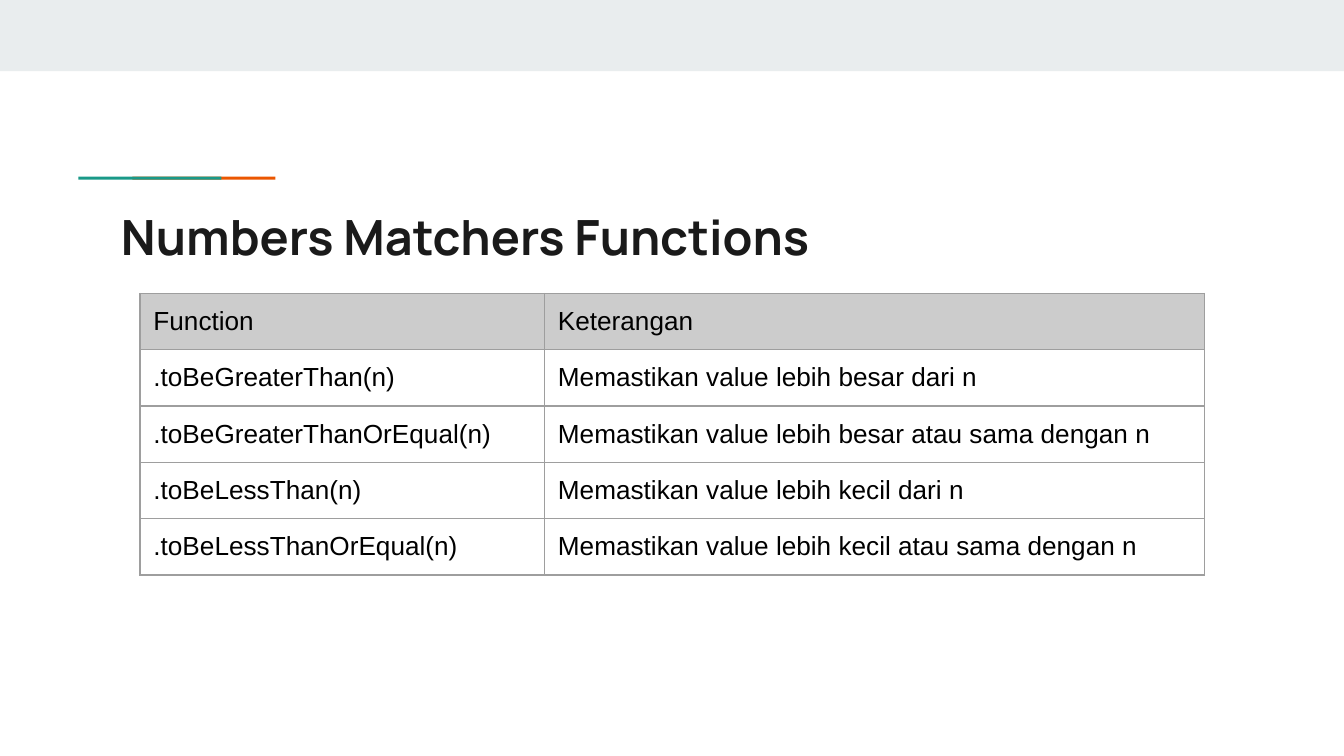
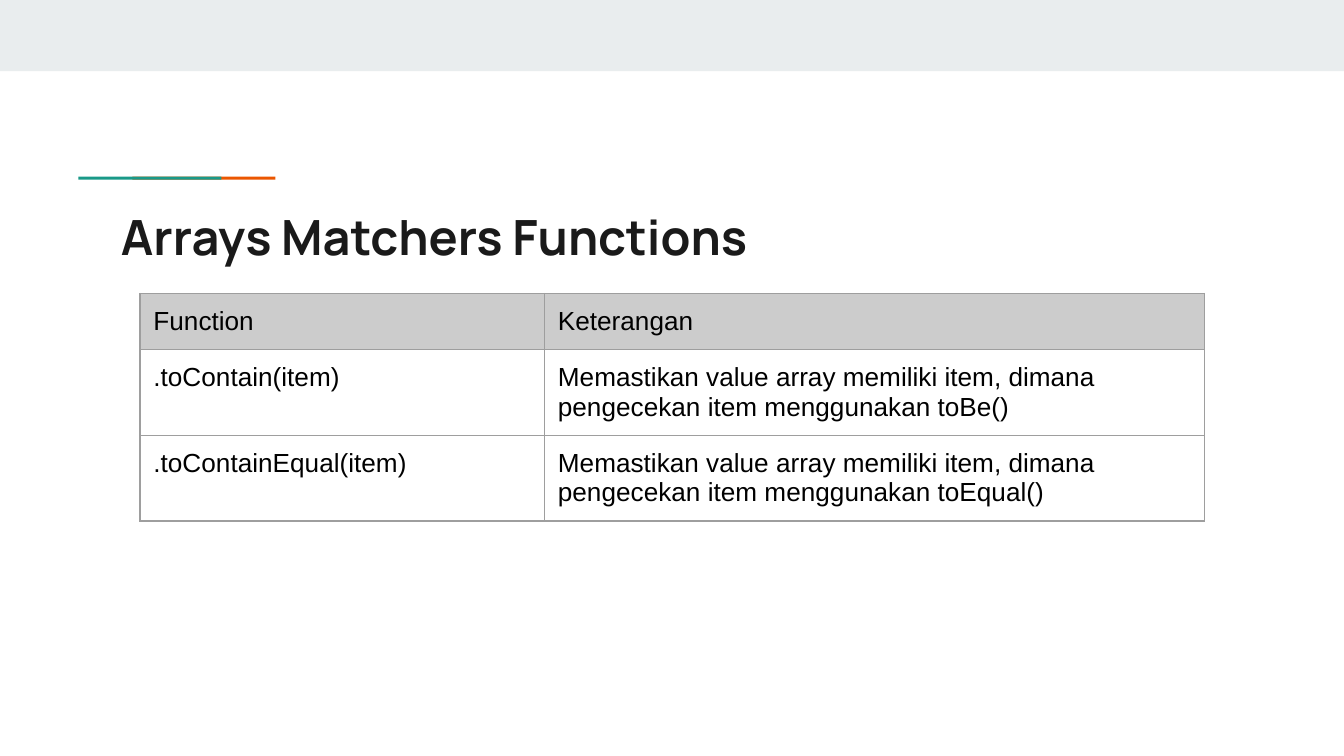
from dataclasses import dataclass

from lxml.etree import SubElement
from pptx import Presentation
from pptx.dml.color import RGBColor
from pptx.enum.shapes import MSO_SHAPE
from pptx.enum.text import MSO_ANCHOR, MSO_AUTO_SIZE, PP_ALIGN
from pptx.oxml.ns import qn
from pptx.util import Pt


@dataclass(frozen=True)
class Theme:
    background: str = "FFFFFF"
    band: str = "E9EDEE"
    orange: str = "EB5600"
    teal: str = "1A9988"
    heading: str = "1A1A1A"
    text: str = "000000"
    header_fill: str = "CCCCCC"
    border: str = "9E9E9E"
    heading_font: str = "Manrope"
    text_font: str = "Arial"
    heading_size: float = 26
    text_size: float = 14
    border_width: float = 0.75
    inset: float = 7.2


SLIDE_WIDTH, SLIDE_HEIGHT = 720, 405
TITLE_ONLY = 5
HEADER = ("Function", "Keterangan")
COLUMN_WIDTHS = (216.7, 353.5)
ROW_HEIGHT = 30

MATCHERS = {
    "Numbers Matchers Functions": [
        (".toBeGreaterThan(n)", "Memastikan value lebih besar dari n"),
        (".toBeGreaterThanOrEqual(n)", "Memastikan value lebih besar atau sama dengan n"),
        (".toBeLessThan(n)", "Memastikan value lebih kecil dari n"),
        (".toBeLessThanOrEqual(n)", "Memastikan value lebih kecil atau sama dengan n"),
    ],
    "Arrays Matchers Functions": [
        (".toContain(item)",
         "Memastikan value array memiliki item, dimana pengecekan item menggunakan toBe()"),
        (".toContainEqual(item)",
         "Memastikan value array memiliki item, dimana pengecekan item menggunakan toEqual()"),
    ],
}


class Deck:
    def __init__(self, theme):
        self.theme = theme
        self.presentation = Presentation()
        self.presentation.slide_width = Pt(SLIDE_WIDTH)
        self.presentation.slide_height = Pt(SLIDE_HEIGHT)
        self.slide = None

    def add_slide(self, heading):
        """Start a slide with the shared band, accent line and title."""
        layout = self.presentation.slide_layouts[TITLE_ONLY]
        self.slide = self.presentation.slides.add_slide(layout)
        background = self.slide.background.fill
        background.solid()
        background.fore_color.rgb = RGBColor.from_string(self.theme.background)
        self.bar(0, 0, SLIDE_WIDTH, 38.2, self.theme.band)
        # The teal bar lies over the left part of the orange one.
        self.bar(71, 94.7, 76.6, 1.6, self.theme.orange)
        self.bar(42, 94.7, 76.6, 1.6, self.theme.teal)
        self.title(heading)

    def bar(self, left, top, width, height, color):
        bar = self.slide.shapes.add_shape(
            MSO_SHAPE.RECTANGLE, Pt(left), Pt(top), Pt(width), Pt(height))
        bar.shadow.inherit = False
        bar.fill.solid()
        bar.fill.fore_color.rgb = RGBColor.from_string(color)
        bar.line.fill.background()

    def title(self, heading):
        title = self.slide.shapes.title
        title.left, title.top = Pt(57.6), Pt(103.5)
        title.width, title.height = Pt(605.5), Pt(42.5)
        frame = title.text_frame
        frame.text = heading
        frame.word_wrap = True
        frame.auto_size = MSO_AUTO_SIZE.NONE
        frame.vertical_anchor = MSO_ANCHOR.TOP
        self.set_insets(frame)
        paragraph = frame.paragraphs[0]
        paragraph.alignment = PP_ALIGN.LEFT
        self.set_font(paragraph, self.theme.heading_font, self.theme.heading_size,
                      self.theme.heading, bold=True)

    def table(self, rows):
        table = self.slide.shapes.add_table(
            len(rows), len(COLUMN_WIDTHS), Pt(75), Pt(157.2),
            Pt(sum(COLUMN_WIDTHS)), Pt(ROW_HEIGHT * len(rows))).table
        table.first_row = table.horz_banding = False
        for column, width in zip(table.columns, COLUMN_WIDTHS):
            column.width = Pt(width)
        for row_index, texts in enumerate(rows):
            table.rows[row_index].height = Pt(ROW_HEIGHT)
            for column_index, text in enumerate(texts):
                self.cell(table.cell(row_index, column_index), text, row_index == 0)

    def cell(self, cell, text, is_header):
        cell.text = text
        cell.vertical_anchor = MSO_ANCHOR.TOP
        self.set_insets(cell)
        self.set_borders(cell)
        if is_header:
            cell.fill.solid()
            cell.fill.fore_color.rgb = RGBColor.from_string(self.theme.header_fill)
        else:
            cell.fill.background()
        self.set_font(cell.text_frame.paragraphs[0], self.theme.text_font,
                      self.theme.text_size, self.theme.text)

    def set_borders(self, cell):
        properties = cell._tc.get_or_add_tcPr()
        for side in ("a:lnL", "a:lnR", "a:lnT", "a:lnB"):
            line = SubElement(properties, qn(side), w=str(Pt(self.theme.border_width)))
            fill = SubElement(line, qn("a:solidFill"))
            SubElement(fill, qn("a:srgbClr"), val=self.theme.border)

    def set_insets(self, holder):
        holder.margin_left = holder.margin_right = Pt(self.theme.inset)
        holder.margin_top = holder.margin_bottom = Pt(self.theme.inset)

    def set_font(self, paragraph, name, size, color, bold=False):
        font = paragraph.font
        font.name = name
        font.size = Pt(size)
        font.bold = bold
        font.color.rgb = RGBColor.from_string(color)


def main():
    deck = Deck(Theme())
    for heading, functions in MATCHERS.items():
        deck.add_slide(heading)
        deck.table([HEADER, *functions])
    deck.presentation.save("out.pptx")


if __name__ == "__main__":
    main()
